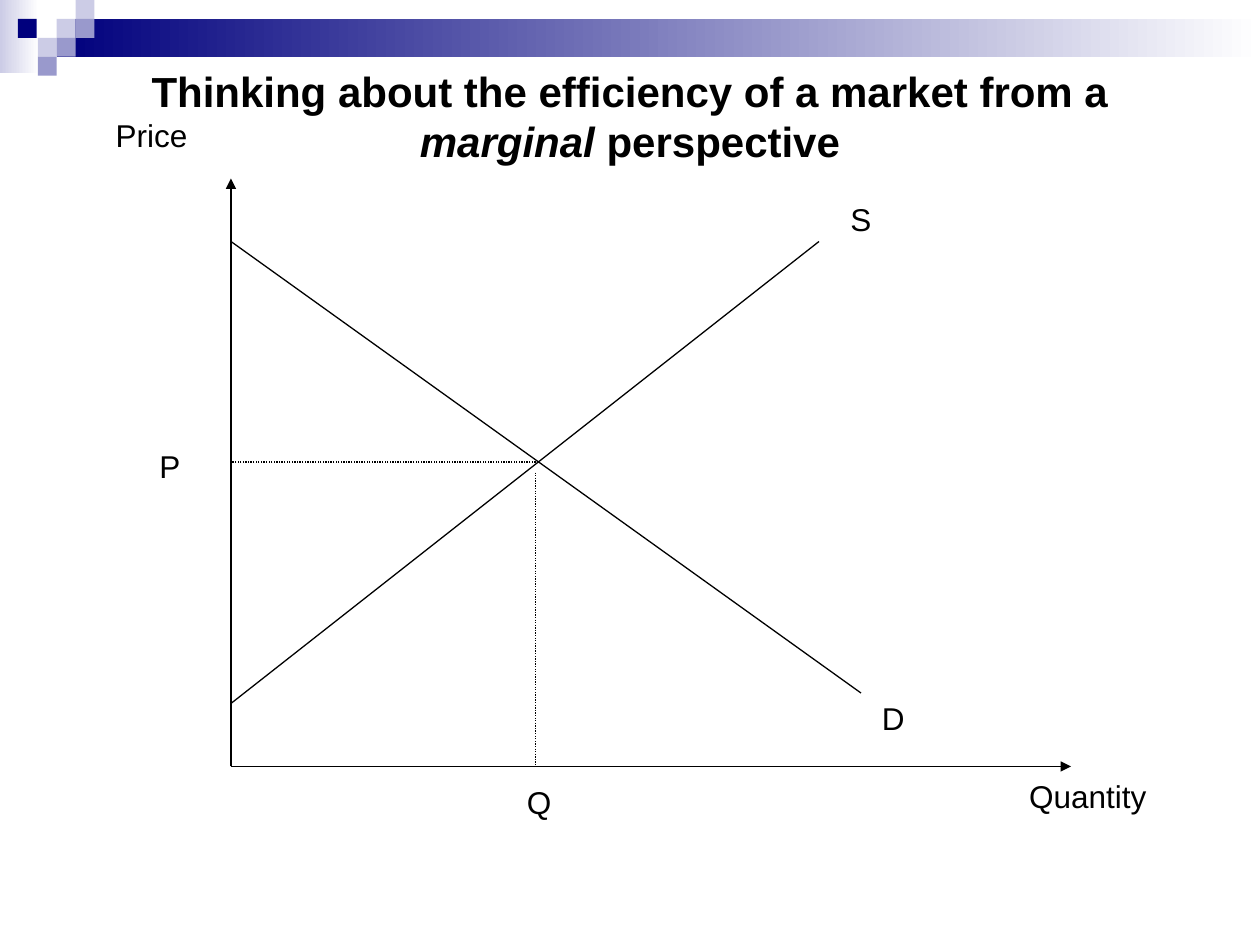
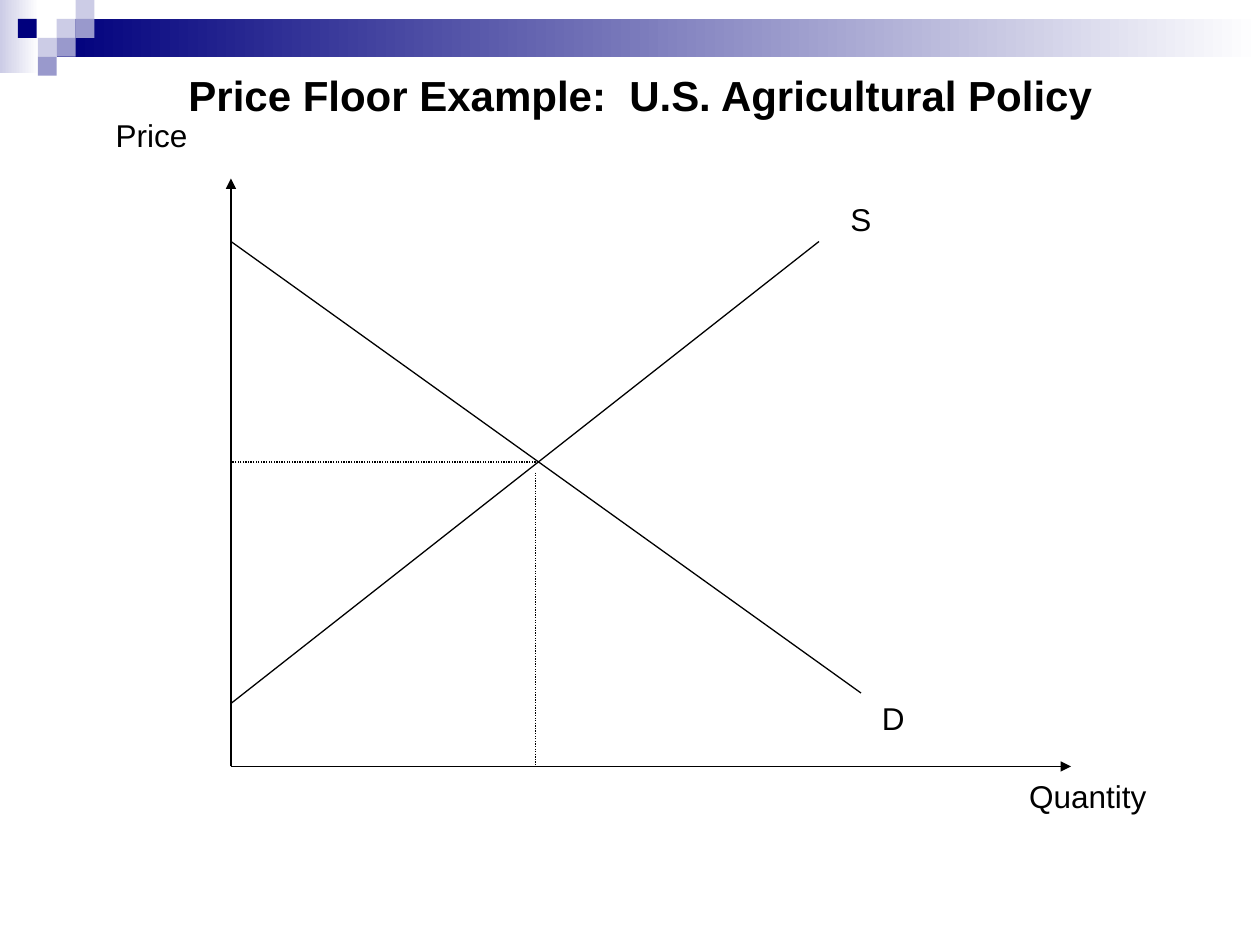
from lxml.etree import SubElement
from pptx import Presentation
from pptx.dml.color import RGBColor
from pptx.enum.dml import MSO_LINE_DASH_STYLE as Dash
from pptx.enum.shapes import MSO_CONNECTOR as Connector, MSO_SHAPE as Shape
from pptx.enum.text import MSO_ANCHOR as Anchor, PP_ALIGN as Align
from pptx.oxml.ns import qn
from pptx.util import Pt

FONT = "Arial"
BLACK, WHITE = "000000", "FFFFFF"
NAVY, LILAC, PALE = "00007D", "9999CC", "CCCCE6"

SQUARE = 10.8
COLUMNS = (10.2, 21.6, 32.4, 43.2)
SQUARES = (  # column, row, colour
    (2, 1, PALE), (3, 0, PALE), (3, 1, LILAC), (1, 2, PALE),
    (0, 1, NAVY), (2, 2, LILAC), (1, 3, LILAC),
)

ORIGIN_X, ORIGIN_Y = 132, 438
PRICE_TOP, QUANTITY_END = 102, 612
CURVE_TOP = 138
MARKET_QUANTITY, MARKET_PRICE = 306, 264


def rgb(colour):
    return RGBColor.from_string(colour)


def add_box(page, left, top, width, height, *colours):
    """Add a borderless rectangle, solid or fading from left to right."""
    box = page.shapes.add_shape(
        Shape.RECTANGLE, Pt(left), Pt(top), Pt(width), Pt(height))
    box.shadow.inherit = False
    box.line.fill.background()
    if len(colours) == 1:
        box.fill.solid()
        box.fill.fore_color.rgb = rgb(colours[0])
    else:
        box.fill.gradient()
        box.fill.gradient_angle = 0
        for stop, colour in zip(box.fill.gradient_stops, colours):
            stop.color.rgb = rgb(colour)


def add_text(page, text, left, top, width, height=28.8, size=18, bold=False,
             align=Align.LEFT, anchor=Anchor.TOP, wrap=False):
    """Add a text box; words between asterisks become italic."""
    box = page.shapes.add_textbox(Pt(left), Pt(top), Pt(width), Pt(height))
    frame = box.text_frame
    frame.word_wrap = wrap
    frame.vertical_anchor = anchor
    para = frame.paragraphs[0]
    para.alignment = align
    for index, words in enumerate(text.split("*")):
        span = para.add_run()
        span.text = words
        span.font.name = FONT
        span.font.size = Pt(size)
        span.font.bold = bold
        span.font.italic = index % 2 == 1
        span.font.color.rgb = rgb(BLACK)


def add_line(page, start, end, dotted=False, arrow=False):
    line = page.shapes.add_connector(
        Connector.STRAIGHT, *(Pt(length) for length in (*start, *end)))
    line.line.color.rgb = rgb(BLACK)
    line.line.width = Pt(0.75)
    if dotted:
        line.line.dash_style = Dash.ROUND_DOT
    properties = line._element.spPr
    if arrow:
        SubElement(properties.find(qn("a:ln")), qn("a:tailEnd"), type="triangle")
    SubElement(properties, qn("a:effectLst"))


def add_band(page):
    add_box(page, 0, 0, 22.2, 42, PALE, WHITE)
    add_box(page, COLUMNS[2], SQUARE, 720 - COLUMNS[2], 2 * SQUARE, NAVY, WHITE)
    for column, row, colour in SQUARES:
        add_box(page, COLUMNS[column], row * SQUARE, SQUARE, SQUARE, colour)


def add_market(page):
    """Draw the axes, the supply and demand curves and the equilibrium."""
    origin = (ORIGIN_X, ORIGIN_Y)
    add_line(page, origin, (ORIGIN_X, PRICE_TOP), arrow=True)
    add_line(page, origin, (QUANTITY_END, ORIGIN_Y), arrow=True)
    add_text(page, "Price", 59, 62.6, 55.4)
    add_text(page, "Quantity", 581, 440.6, 81.4)
    add_line(page, (ORIGIN_X, 402), (468, CURVE_TOP))
    add_line(page, (ORIGIN_X, CURVE_TOP), (492, 396))
    add_text(page, "S", 478.8, 110.9, 26.6)
    add_text(page, "D", 496.8, 396, 33.8, wrap=True)
    add_line(page, (MARKET_QUANTITY, MARKET_PRICE), (ORIGIN_X, MARKET_PRICE),
             dotted=True)
    add_line(page, (MARKET_QUANTITY, MARKET_PRICE + 6),
             (MARKET_QUANTITY, ORIGIN_Y), dotted=True)


def add_market_page(deck, title, left, top):
    page = deck.slides.add_slide(deck.slide_layouts[6])
    add_band(page)
    add_text(page, title, left, top, 648, 36, size=24, bold=True,
             align=Align.CENTER, anchor=Anchor.MIDDLE, wrap=True)
    add_market(page)
    return page


def main():
    deck = Presentation()
    deck.slide_width, deck.slide_height = Pt(720), Pt(540)

    page = add_market_page(
        deck, "Thinking about the efficiency of a market from a "
        "*marginal* perspective", 36, 48.2)
    add_text(page, "P", 84, 252, 26.6)
    add_text(page, "Q", 294, 444, 28.8)

    add_market_page(
        deck, "Price Floor Example:  U.S. Agricultural Policy", 42, 36)
    deck.save("out.pptx")


if __name__ == "__main__":
    main()
